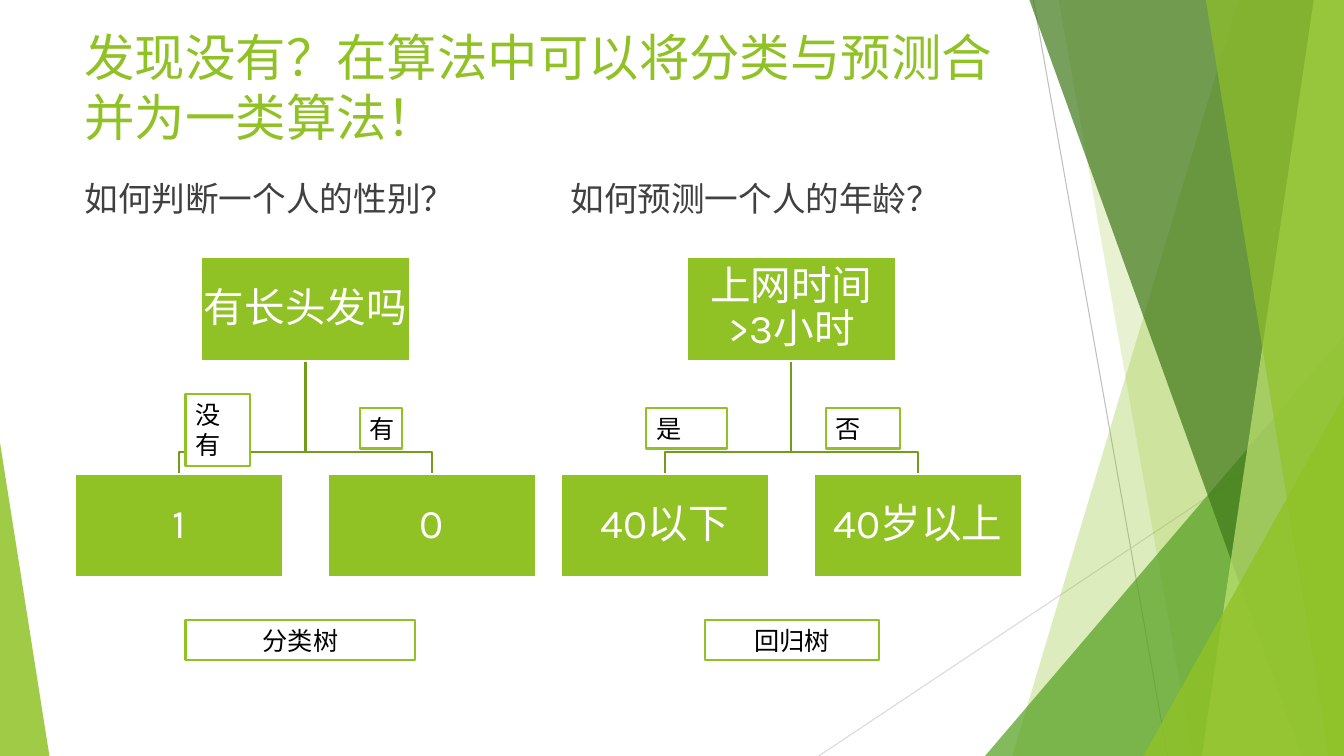
import pptx
import pptx.util
import pptx.dml.color
import pptx.enum.shapes
import pptx.enum.text
import lxml.etree

WIDTH, HEIGHT = 13.33, 7.5
GREEN, DARK_GREEN, WHITE = "90C226", "739B1E", "FFFFFF"
NODE_W, NODE_H = 2.07, 1.03
SHAPE = pptx.enum.shapes.MSO_SHAPE
ALIGN = pptx.enum.text.PP_ALIGN
ANCHOR = pptx.enum.text.MSO_ANCHOR


def inch(value):
    """Convert inches to EMU."""
    return pptx.util.Inches(value)


def color(value):
    """Turn a hex string into a colour."""
    return pptx.dml.color.RGBColor.from_string(value)


def style(sp, fill=None, line=None, weight=1.5, alpha=100):
    """Set the fill, outline and opacity of a shape."""
    sp.shadow.inherit = False
    if fill:
        sp.fill.solid()
        sp.fill.fore_color.rgb = color(fill)
        if alpha < 100:
            rgb = sp.fill._xPr.find(".//" + pptx.oxml.ns.qn("a:srgbClr"))
            lxml.etree.SubElement(rgb, pptx.oxml.ns.qn("a:alpha"), val=str(alpha * 1000))
    else:
        sp.fill.background()
    if line:
        sp.line.color.rgb = color(line)
        sp.line.width = pptx.util.Pt(weight)
    else:
        sp.line.fill.background()


def write(sp, text, size=18, ink="000000", align=ALIGN.LEFT, anchor=ANCHOR.TOP,
          inset=(0.1, 0.05), spacing=1.0):
    """Put one formatted paragraph into a shape."""
    tf = sp.text_frame
    tf.word_wrap = True
    tf.vertical_anchor = anchor
    tf.margin_left = tf.margin_right = inch(inset[0])
    tf.margin_top = tf.margin_bottom = inch(inset[1])
    p = tf.paragraphs[0]
    p.alignment = align
    p.line_spacing = spacing
    r = p.add_run()
    r.text = text
    r.font.size = pptx.util.Pt(size)
    r.font.name = "Karla"
    r.font.color.rgb = color(ink)


def add_text(s, box, text, **fmt):
    """Add a plain text box."""
    write(s.shapes.add_textbox(*map(inch, box)), text, **fmt)


def add_box(s, box, text, fill=WHITE, line=GREEN, **fmt):
    """Add a filled rectangle with text."""
    sp = s.shapes.add_shape(SHAPE.RECTANGLE, *map(inch, box))
    style(sp, fill, line)
    write(sp, text, **fmt)


def add_path(s, points, closed, **look):
    """Draw an outline through the given points."""
    points = [(inch(x), inch(y)) for x, y in points]
    builder = s.shapes.build_freeform(*points[0])
    builder.add_line_segments(points[1:], close=closed)
    style(builder.convert_to_shape(), **look)


def add_triangle(s, box, apex, fill, alpha):
    """Add a right triangle whose apex sits at a share of its width."""
    sp = s.shapes.add_shape(SHAPE.ISOSCELES_TRIANGLE, *map(inch, box))
    sp.adjustments[0] = apex
    style(sp, fill, alpha=alpha)


def add_facet(s, top, bottom, fill, alpha):
    """Add a translucent facet reaching to the right edge."""
    add_path(s, [(top, 0), (WIDTH, 0), (WIDTH, HEIGHT), (bottom, HEIGHT)], True,
             fill=fill, alpha=alpha)


def add_backdrop(s):
    """Draw the thin lines and green facets behind the content."""
    for x1, y1, x2, ink in [(10.25, 0, 11.58, "BFBFBF"), (WIDTH, 4.03, 8.12, "D9D9D9")]:
        cxn = s.shapes.add_connector(pptx.enum.shapes.MSO_CONNECTOR.STRAIGHT,
                                     *map(inch, (x1, y1, x2, HEIGHT)))
        cxn.line.color.rgb = color(ink)
        cxn.line.width = pptx.util.Pt(0.75)
        lxml.etree.SubElement(cxn._element.spPr, pptx.oxml.ns.qn("a:effectLst"))
    add_facet(s, 12.28, 10.04, GREEN, 30)
    add_facet(s, 10.5, 11.83, GREEN, 20)
    add_triangle(s, (9.77, 3.33, 3.56, 4.17), 1, "54A021", 72)
    add_facet(s, 10.21, 12.91, "3F7819", 70)
    add_facet(s, 13.03, 11.92, "C0E474", 70)
    add_facet(s, 11.96, 13.18, GREEN, 65)
    add_triangle(s, (11.34, 3.93, 1.99, 3.57), 1, GREEN, 80)
    add_triangle(s, (0, 4.39, 0.49, 3.11), 0, GREEN, 85)


def add_tree(s, box, question, root, leaves, labels, caption):
    """Place a question, its two-leaf tree, branch labels and a caption in a box."""
    x, y, w, h = box
    add_text(s, (x, y, w, 0.7), question, size=24, ink="404040", anchor=ANCHOR.BOTTOM)
    center, root_y, leaf_y = x + w / 2, y + 1.04, y + 3.19
    root_end, fork_y = root_y + NODE_H, leaf_y - 0.22
    leaf_xs = (x, x + w - NODE_W)
    for leaf_x in leaf_xs:
        end = leaf_x + NODE_W / 2
        add_path(s, [(center, root_end), (center, fork_y), (end, fork_y), (end, leaf_y)],
                 False, line=DARK_GREEN)
    nodes = [(center - NODE_W / 2, root_y, root)]
    nodes += [(leaf_x, leaf_y, leaf) for leaf_x, leaf in zip(leaf_xs, leaves)]
    for left, top, text in nodes:
        add_box(s, (left, top, NODE_W, NODE_H), text, fill=GREEN, line=WHITE, size=29,
                ink=WHITE, align=ALIGN.CENTER, anchor=ANCHOR.MIDDLE,
                inset=(0.02, 0.02), spacing=0.9)
    for dx, dy, width, height, text in labels:
        add_box(s, (x + dx, y + dy, width, height), text)
    dx, width, text = caption
    add_box(s, (x + dx, y + h - 0.4, width, 0.4), text, align=ALIGN.CENTER)


def main():
    """Build and save the slide."""
    prs = pptx.Presentation()
    prs.slide_width, prs.slide_height = inch(WIDTH), inch(HEIGHT)
    s = prs.slides.add_slide(prs.slide_layouts[6])
    add_backdrop(s)
    add_text(s, (0.74, 0.21, 9.4, 1.3), "发现没有？在算法中可以将分类与预测合并为一类算法！",
             size=36, ink=GREEN)
    add_tree(s, (0.74, 1.51, 4.58, 5.04), "如何判断一个人的性别？", "有长头发吗", ("1", "0"),
             [(1.1, 2.4, 0.64, 0.71, "没有"), (2.83, 2.54, 0.42, 0.4, "有")],
             (1.1, 2.28, "分类树"))
    add_tree(s, (5.56, 1.51, 4.58, 5.04), "如何预测一个人的年龄？", "上网时间>3小时",
             ("40以下", "40岁以上"),
             [(0.85, 2.54, 0.8, 0.4, "是"), (2.63, 2.54, 0.74, 0.4, "否")],
             (1.43, 1.73, "回归树"))
    prs.save("out.pptx")


if __name__ == "__main__":
    main()
